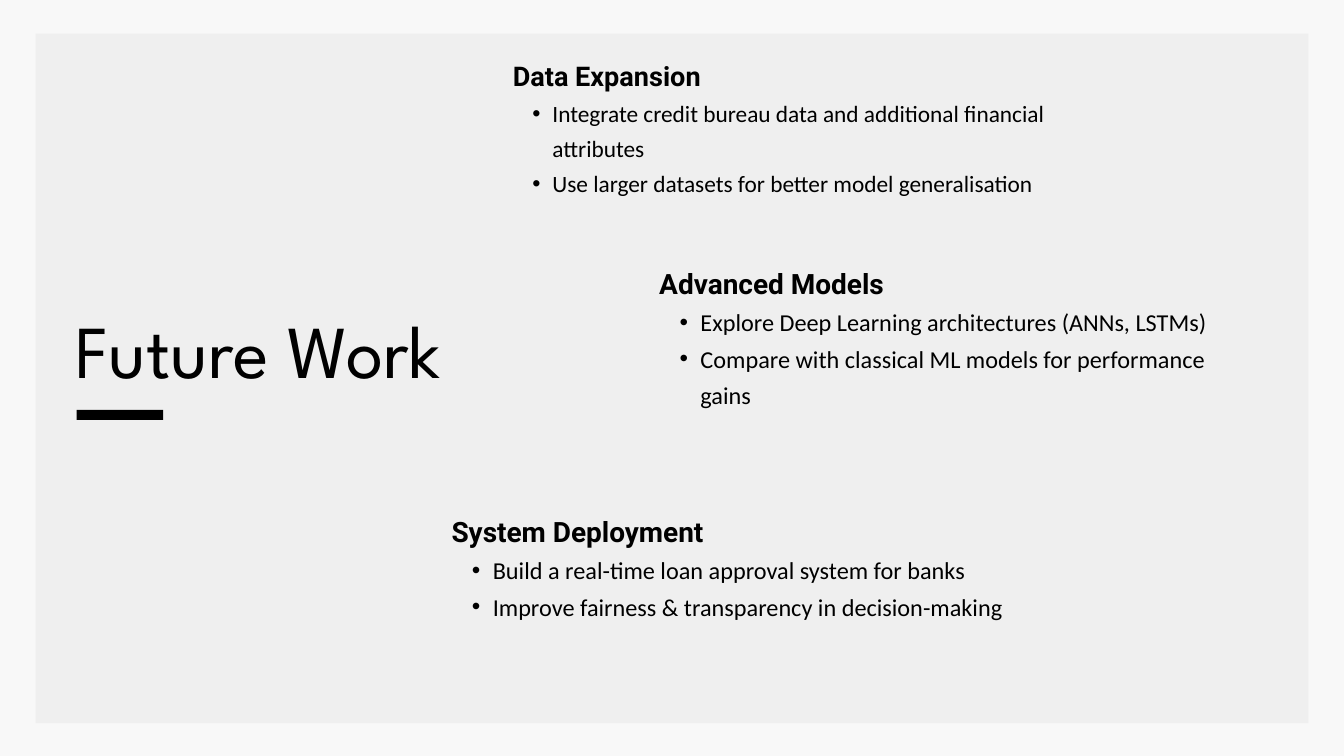
import pptx
import pptx.util
import pptx.dml.color
import pptx.enum.shapes
import lxml.etree
from dataclasses import dataclass

Pt = pptx.util.Pt


@dataclass(frozen=True)
class Theme:
    background: str = "F8F8F8"
    panel: str = "EFEFEF"
    ink: str = "000000"
    title_font: str = "League Spartan"
    heading_font: str = "Roboto"
    bullet_font: str = "Calibri"
    title_size: float = 80
    title_leading: float = 1.1
    topic_leading: float = 1.5
    bullet_indent: float = 1.7
    bullet_hang: float = 0.86


THEME = Theme()
SLIDE_SIZE = (1440, 810)
PANEL_BOX = (38.2, 36, 1363.7, 738.7)
TITLE = "Future Work"
TITLE_BOX = (80.6, 333.4, 547.2, 90.7)
ACCENT_BOX = (82, 439.2, 92.9, 10.8)
TOPIC_WIDTH = 613.4

TOPICS = [
    {
        "heading": "Data Expansion",
        "bullets": [
            "Integrate credit bureau data and additional financial attributes",
            "Use larger datasets for better model generalisation",
        ],
        "corner": (549.4, 55.4), "height": 226.1, "sizes": (29, 25),
    },
    {
        "heading": "Advanced Models",
        "bullets": [
            "Explore Deep Learning architectures (ANNs, LSTMs)",
            "Compare with classical ML models for performance gains",
        ],
        "corner": (706.3, 276.5), "height": 231.8, "sizes": (30, 26),
    },
    {
        "heading": "System Deployment",
        "bullets": [
            "Build a real-time loan approval system for banks",
            "Improve fairness & transparency in decision-making",
        ],
        "corner": (483.8, 542.2), "height": 231.8, "sizes": (30, 26),
    },
]


def rgb(color):
    return pptx.dml.color.RGBColor.from_string(color)


def add_block(slide, box, color):
    block = slide.shapes.add_shape(
        pptx.enum.shapes.MSO_SHAPE.RECTANGLE, *map(Pt, box))
    block.shadow.inherit = False
    block.fill.solid()
    block.fill.fore_color.rgb = rgb(color)
    block.line.fill.background()


def add_text_frame(slide, box):
    frame = slide.shapes.add_textbox(*map(Pt, box)).text_frame
    frame.word_wrap = True
    frame.margin_left = frame.margin_top = 0
    frame.margin_right = frame.margin_bottom = 0
    return frame


def write(paragraph, text, font, size, leading, bold=False):
    paragraph.text = text
    paragraph.line_spacing = Pt(size * leading)
    paragraph.font.name = font
    paragraph.font.size = Pt(size)
    paragraph.font.bold = bold
    paragraph.font.color.rgb = rgb(THEME.ink)


def add_bullet(paragraph, size):
    paragraph.level = 1
    properties = paragraph._p.get_or_add_pPr()
    properties.set("marL", str(Pt(size * THEME.bullet_indent)))
    properties.set("indent", str(-Pt(size * THEME.bullet_hang)))
    namespace = properties.nsmap["a"]
    font = lxml.etree.Element(f"{{{namespace}}}buFont", typeface="Arial")
    mark = lxml.etree.Element(f"{{{namespace}}}buChar", char="•")
    defaults = properties.find(f"{{{namespace}}}defRPr")
    defaults.addprevious(font)
    defaults.addprevious(mark)


def add_topic(slide, topic):
    heading_size, bullet_size = topic["sizes"]
    frame = add_text_frame(
        slide, (*topic["corner"], TOPIC_WIDTH, topic["height"]))
    write(frame.paragraphs[0], topic["heading"], THEME.heading_font,
          heading_size, THEME.topic_leading, bold=True)
    for text in topic["bullets"]:
        bullet = frame.add_paragraph()
        write(bullet, text, THEME.bullet_font, bullet_size, THEME.topic_leading)
        add_bullet(bullet, bullet_size)


def main():
    deck = pptx.Presentation()
    deck.slide_width, deck.slide_height = map(Pt, SLIDE_SIZE)
    slide = deck.slides.add_slide(deck.slide_layouts[6])
    slide.background.fill.solid()
    slide.background.fill.fore_color.rgb = rgb(THEME.background)

    add_block(slide, PANEL_BOX, THEME.panel)
    title = add_text_frame(slide, TITLE_BOX).paragraphs[0]
    write(title, TITLE, THEME.title_font, THEME.title_size, THEME.title_leading)
    add_block(slide, ACCENT_BOX, THEME.ink)
    for topic in TOPICS:
        add_topic(slide, topic)
    deck.save("out.pptx")


if __name__ == "__main__":
    main()
